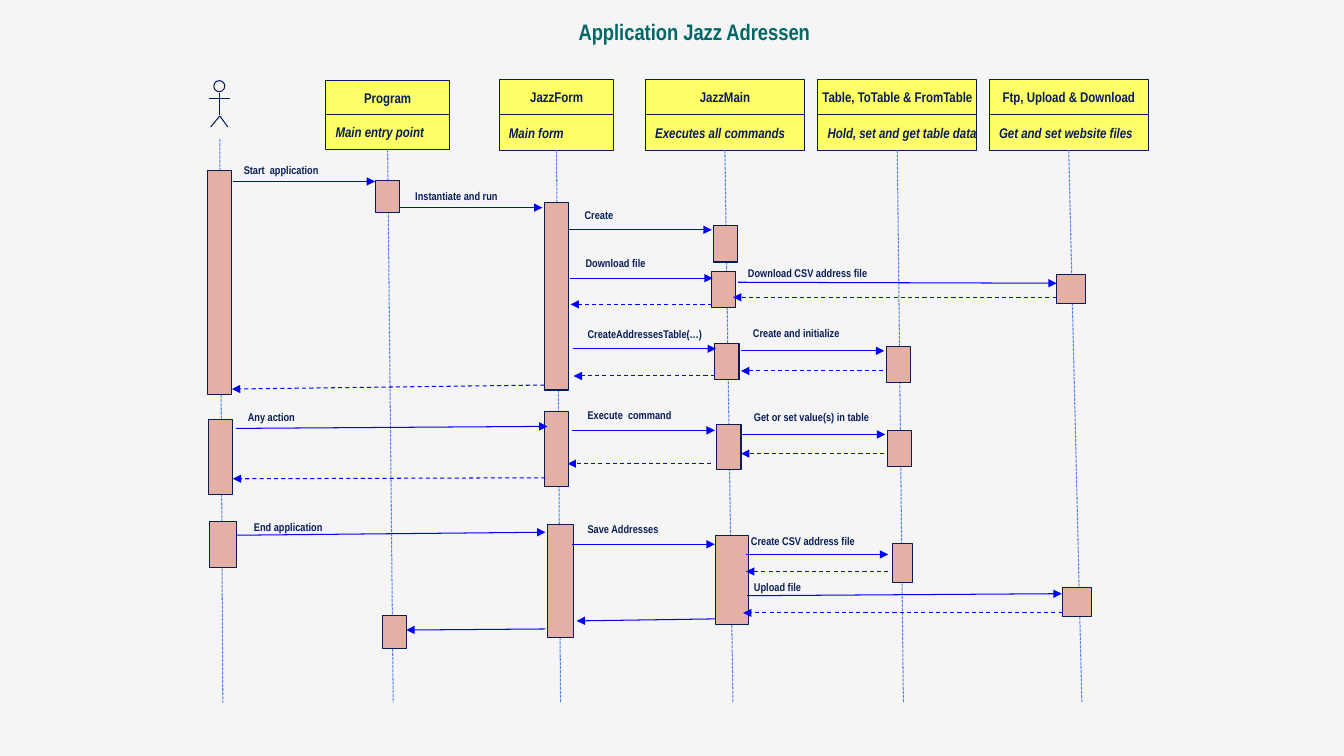
"""Builds a sequence diagram slide of an address application."""
from lxml import etree
from pptx import Presentation
from pptx import util as u
from pptx.dml.color import RGBColor
from pptx.enum import dml, shapes, text
from pptx.oxml.ns import qn

HUES = {"back": "F5F5F5", "title": "006666", "ink": "081D58", "head": "FFFF66",
        "bar": "E4B0A6", "life": "5781E5", "call": "0000FF"}
FONT = "Arial Narrow"
TITLE = "Application Jazz Adressen"
FOOT = 6.97

# name, role, left, top, width, row height, foot of lifeline
PARTS = [
    ("Program", "Main entry point", 3.23, 0.8, 1.23, 0.34, 3.9),
    ("JazzForm", "Main form", 4.95, 0.79, 1.14, 0.35, 5.56),
    ("JazzMain", "Executes all commands", 6.4, 0.79, 1.58, 0.35, 7.27),
    ("Table, ToTable & FromTable", "Hold, set and get table data", 8.11, 0.79, 1.58, 0.35, 8.96),
    ("Ftp, Upload & Download", "Get and set website files", 9.81, 0.79, 1.58, 0.35, 10.73),
]
BARS = [
    (2.06, 1.69, 0.24, 2.22), (2.07, 4.16, 0.24, 0.75), (2.08, 5.17, 0.27, 0.46),
    (3.72, 1.79, 0.24, 0.32), (3.79, 6.11, 0.24, 0.32),
    (5.4, 2.01, 0.24, 1.86), (5.4, 4.08, 0.24, 0.75), (5.43, 5.2, 0.26, 1.13),
    (7.08, 2.24, 0.24, 0.36), (7.06, 2.69, 0.24, 0.36), (7.09, 3.41, 0.24, 0.36),
    (7.11, 4.21, 0.24, 0.45), (7.1, 5.31, 0.32, 0.89),
    (8.79, 3.44, 0.24, 0.36), (8.8, 4.27, 0.24, 0.36), (8.85, 5.39, 0.2, 0.39),
    (10.48, 2.72, 0.29, 0.29), (10.54, 5.83, 0.29, 0.29),
]
# label, its left, top and width, then the arrow
CALLS = [
    ("Start  application", 2.32, 1.57, 1.07, (2.31, 1.8, 3.72, 1.8)),
    ("Instantiate and run", 4.02, 1.83, 1.36, (3.96, 2.06, 5.38, 2.06)),
    ("Create", 5.7, 2.02, 1.36, (5.64, 2.28, 7.06, 2.28)),
    ("Download file", 5.71, 2.49, 1.36, (5.65, 2.76, 7.07, 2.76)),
    ("Download CSV address file", 7.32, 2.59, 1.57, (7.32, 2.8, 10.48, 2.81)),
    ("CreateAddressesTable(…)", 5.73, 3.2, 1.36, (5.68, 3.46, 7.1, 3.46)),
    ("Create and initialize", 7.37, 3.19, 1.36, (7.35, 3.48, 8.77, 3.48)),
    ("Any action", 2.36, 4.02, 1.07, (2.34, 4.25, 5.43, 4.23)),
    ("Execute  command", 5.73, 4, 1.36, (5.67, 4.27, 7.09, 4.27)),
    ("Get or set value(s) in table", 7.38, 4.02, 1.36, (7.36, 4.31, 8.78, 4.31)),
    ("End application", 2.42, 5.11, 1.07, (2.34, 5.31, 5.41, 5.28)),
    ("Save Addresses", 5.73, 5.13, 1.36, (5.67, 5.4, 7.09, 5.4)),
    ("Create CSV address file", 7.35, 5.25, 1.36, (7.4, 5.5, 8.81, 5.5)),
    ("Upload file", 7.38, 5.71, 1.36, (7.41, 5.91, 10.53, 5.89)),
]
ENDS = [(7.1, 6.14, 5.72, 6.16), (5.41, 6.24, 4.03, 6.25)]
REPLIES = [
    (10.48, 2.95, 7.27, 2.95), (7.06, 3.02, 5.66, 3.02), (8.76, 3.68, 7.35, 3.68),
    (7.09, 3.73, 5.69, 3.73), (5.4, 3.82, 2.3, 3.86), (8.77, 4.5, 7.35, 4.5),
    (7.05, 4.6, 5.63, 4.6), (5.41, 4.74, 2.31, 4.75), (8.81, 5.67, 7.4, 5.67),
    (10.54, 6.08, 7.37, 6.08),
]
LIMBS = [(2.18, 0.92, 2.18, 1.14), (2.07, 0.98, 2.28, 0.98),
         (2.18, 1.15, 2.26, 1.26), (2.18, 1.15, 2.09, 1.26)]


def hue(name):
    return RGBColor.from_string(HUES[name])


def inches(nums):
    return [u.Inches(n) for n in nums]


def write(frame, words, size, tint="ink", slant=None):
    frame.text = words
    para = frame.paragraphs[0]
    font = para.font
    font.name, font.size, font.bold, font.italic = FONT, u.Pt(size), True, slant
    font.color.rgb = hue(tint)
    return para


def label(words, spot, size, tint="ink"):
    frame = slide.shapes.add_textbox(*inches(spot)).text_frame
    frame.word_wrap = True
    frame.auto_size = text.MSO_AUTO_SIZE.SHAPE_TO_FIT_TEXT
    write(frame, words, size, tint)


def block(spot, fill=None, kind=shapes.MSO_SHAPE.RECTANGLE):
    shape = slide.shapes.add_shape(kind, *inches(spot))
    shape.shadow.inherit = False
    if fill:
        shape.fill.solid()
        shape.fill.fore_color.rgb = hue(fill)
    else:
        shape.fill.background()
    shape.line.color.rgb = hue("ink")
    shape.line.width = u.Pt(0.75)
    return shape


def cell(words, spot, align, slant=None):
    frame = block(spot, "head").text_frame
    frame.word_wrap = False
    frame.vertical_anchor = text.MSO_ANCHOR.MIDDLE
    write(frame, words, 10, slant=slant).alignment = align


def stroke(ends, tint, dash=None, arrow=False):
    link = slide.shapes.add_connector(shapes.MSO_CONNECTOR.STRAIGHT, *inches(ends))
    link.line.color.rgb = hue(tint)
    link.line.width = u.Pt(0.75)
    if dash:
        link.line.dash_style = dash
    props = link._element.spPr
    if arrow:
        etree.SubElement(props.find(qn("a:ln")), qn("a:tailEnd"), type="triangle")
    etree.SubElement(props, qn("a:effectLst"))


deck = Presentation()
deck.slide_width, deck.slide_height = inches((13.33, 7.5))
slide = deck.slides.add_slide(deck.slide_layouts[6])
slide.background.fill.solid()
slide.background.fill.fore_color.rgb = hue("back")
label(TITLE, (5.64, 0.13, 2.7, 0.37), 16, "title")

block((2.12, 0.8, 0.11, 0.11), kind=shapes.MSO_SHAPE.OVAL)
for limb in LIMBS:
    stroke(limb, "ink")

lives = [(2.18, 1.38, 2.21, FOOT)]
for name, role, left, top, width, high, foot in PARTS:
    cell(role, (left, top + high, width, high), text.PP_ALIGN.LEFT, True)
    cell(name, (left, top, width, high), text.PP_ALIGN.CENTER)
    lives.append((left + width / 2, top + 2 * high, foot, FOOT))
for life in lives:
    stroke(life, "life", dml.MSO_LINE.SQUARE_DOT)
for bar in BARS:
    block(bar, "bar")
for reply in REPLIES:
    stroke(reply, "call", dml.MSO_LINE.DASH, True)
for ends in [call[-1] for call in CALLS] + ENDS:
    stroke(ends, "call", arrow=True)
for words, left, top, width, ends in CALLS:
    label(words, (left, top, width, 0.24), 8)

deck.save("out.pptx")
